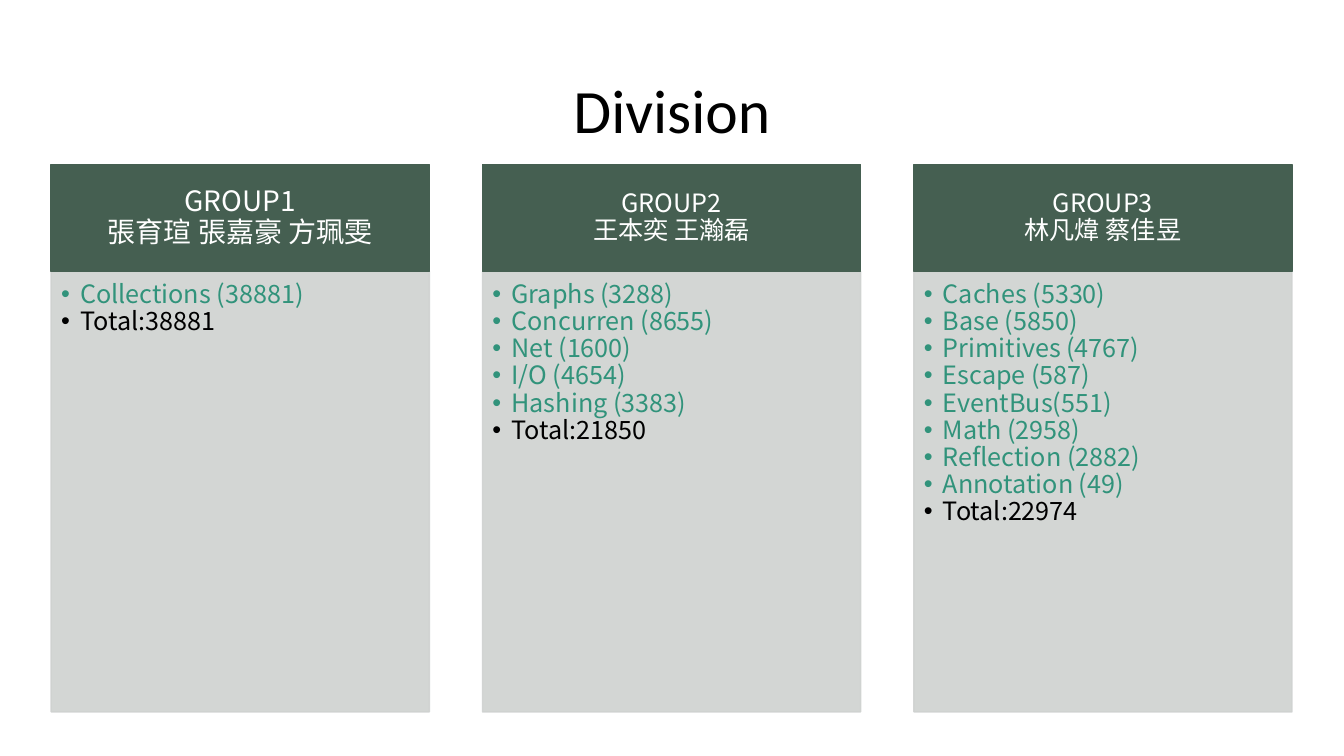
from lxml import etree
from pptx import Presentation
from pptx import util as u
from pptx.dml.color import RGBColor
from pptx.enum import shapes, text
from pptx.oxml.ns import qn

COLORS = {"header": "455F51", "panel": "CFD2D0", "item": "31937B",
          "total": "000000", "white": "FFFFFF"}
FONT = "Noto Sans CJK SC"

GROUPS = [
    ("GROUP1\v張育瑄 張嘉豪 方珮雯", 20,
     ["Collections (38881)", "Total:38881"]),
    ("GROUP2\v王本奕 王瀚磊", 18,
     ["Graphs (3288)", "Concurren (8655)", "Net (1600)", "I/O (4654)",
      "Hashing (3383)", "Total:21850"]),
    ("GROUP3\v林凡煒 蔡佳昱", 18,
     ["Caches (5330)", "Base (5850)", "Primitives (4767)", "Escape (587)",
      "EventBus(551)", "Math (2958)", "Reflection (2882)", "Annotation (49)",
      "Total:22974"]),
]


class Deck:
    def __init__(self, width, height):
        self.prs = Presentation()
        self.prs.slide_width, self.prs.slide_height = u.Cm(width), u.Cm(height)

    def add_slide(self, layout):
        self.s = self.prs.slides.add_slide(self.prs.slide_layouts.get_by_name(layout))

    def place(self, sp, box):
        sp.left, sp.top, sp.width, sp.height = (u.Cm(v) for v in box)

    def paint(self, sp, color, alpha=None):
        rgb = RGBColor.from_string(COLORS[color])
        sp.fill.solid()
        sp.fill.fore_color.rgb = rgb
        sp.line.color.rgb = rgb
        sp.line.width = u.Pt(1)
        if alpha:
            for clr in sp.fill._xPr.iter(qn("a:srgbClr")):
                etree.SubElement(clr, qn("a:alpha"), val=str(alpha * 1000))

    def frame(self, sp, anchor, margins):
        tf = sp.text_frame
        tf.word_wrap = True
        tf.auto_size = text.MSO_AUTO_SIZE.NONE
        tf.vertical_anchor = anchor
        (tf.margin_left, tf.margin_top, tf.margin_right,
         tf.margin_bottom) = (u.Cm(m) for m in margins)
        return tf

    def style(self, p, size, color, font=FONT, align=text.PP_ALIGN.LEFT, after=0):
        p.alignment = align
        p.line_spacing = 0.9
        p.space_before = u.Pt(0)
        p.space_after = u.Pt(after)
        p.font.size = u.Pt(size)
        p.font.bold = False
        p.font.name = font
        p.font.color.rgb = RGBColor.from_string(COLORS[color])
        etree.SubElement(p.font._rPr, qn("a:ea"), typeface=font)

    def title(self, words, box):
        sp = self.s.shapes.title
        self.place(sp, box)
        tf = self.frame(sp, text.MSO_ANCHOR.MIDDLE, (0.25, 0.13, 0.25, 0.13))
        tf.text = words
        self.style(tf.paragraphs[0], 44, "total", "Calibri", text.PP_ALIGN.CENTER)

    def header(self, words, size, box):
        sp = self.s.shapes.add_shape(shapes.MSO_SHAPE.RECTANGLE, *(u.Cm(v) for v in box))
        sp.shadow.inherit = False
        self.paint(sp, "header")
        tf = self.frame(sp, text.MSO_ANCHOR.MIDDLE, (0.36, 0.2, 0.36, 0.2))
        tf.text = words
        self.style(tf.paragraphs[0], size, "white", align=text.PP_ALIGN.CENTER)

    def listing(self, sp, items, box):
        self.place(sp, box)
        self.paint(sp, "panel", 90)
        tf = self.frame(sp, text.MSO_ANCHOR.TOP, (0.25, 0.25, 0.36, 0.41))
        tf.text = "\n".join(items)
        for p, item in zip(tf.paragraphs, items):
            self.style(p, 18, "total" if item.startswith("Total") else "item")
            self.bullet(p)

    def bullet(self, p):
        pPr = p._p.get_or_add_pPr()
        pPr.set("marL", str(u.Cm(0.48)))
        pPr.set("indent", str(u.Cm(-0.48)))
        bu = etree.Element(qn("a:buChar"), char="•")
        pPr.find(qn("a:defRPr")).addprevious(bu)


deck = Deck(33.87, 19.05)
deck.add_slide("Comparison")
deck.title("Division", (2.33, 1.01, 29.21, 3.68))

left, top, width, pitch = 1.29, 4.14, 9.53, 10.87
head_height, list_height = 2.7, 11.1
bodies = [sp for sp in deck.s.placeholders if sp.placeholder_format.idx]
for i, (name, size, items) in enumerate(GROUPS):
    x = left + i * pitch
    deck.header(name, size, (x, top, width, head_height))
    deck.listing(bodies[i], items, (x, top + head_height, width, list_height))
for sp in bodies[len(GROUPS):]:
    sp.element.getparent().remove(sp.element)

deck.prs.save("out.pptx")
